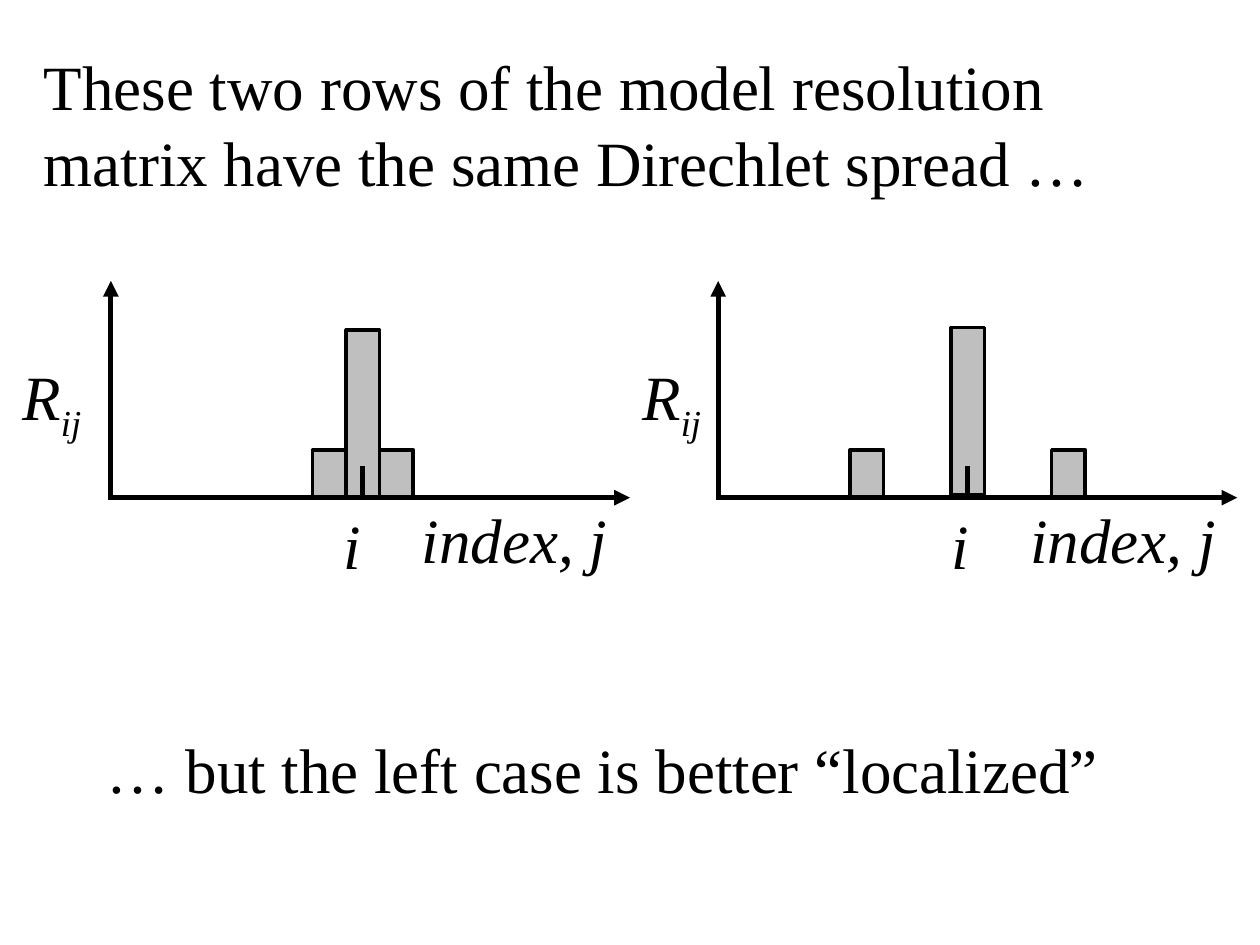
from pptx import Presentation
from pptx.dml.color import RGBColor
from pptx.enum.shapes import MSO_CONNECTOR, MSO_SHAPE
from pptx.oxml.ns import qn
from pptx.util import Inches, Pt
from lxml import etree

STRAIGHT = MSO_CONNECTOR.STRAIGHT
RECTANGLE = MSO_SHAPE.RECTANGLE

COLORS = {"ink": "000000", "bar": "BFBFBF"}
FONT = "Times New Roman"
TEXT_SIZE = 36
SLIDE_WIDTH, SLIDE_HEIGHT = 10, 7.5

CAPTIONS = [
    ("These two rows of the model resolution matrix have the same Direchlet spread …",
     (0.25, 0.33, 9, 1.31)),
    ("… but the left case is better “localized”", (0.75, 5.75, 8.42, 0.71)),
]
PANELS = [
    {"axis": 0.88, "center": 2.88, "side_offset": 1, "peak_top": 2.62,
     "row_label": 0.08, "index_label": (3.25, 2.13), "i_label": 2.63},
    {"axis": 5.7, "center": 7.68, "side_offset": 3, "peak_top": 2.6,
     "row_label": 5, "index_label": (8.08, 1.92), "i_label": 7.45},
]

BAR_WIDTH = 0.8 / 3
PEAK_HEIGHT, SIDE_HEIGHT = 1.33, 0.38
BASELINE, AXIS_TOP, AXIS_LENGTH = 3.95, 2.23, 4.12
OVERHANG = 0.02
TICK_HEIGHT = 0.25
LABEL_HEIGHT = 0.71


def color(name):
    return RGBColor.from_string(COLORS[name])


def add_text(page, area, text, subscript="", italic=False):
    box = page.shapes.add_textbox(*map(Inches, area))
    box.text_frame.word_wrap = True
    para = box.text_frame.paragraphs[0]
    para.font.name = FONT
    para.font.size = Pt(TEXT_SIZE)
    para.font.italic = italic
    para.font.color.rgb = color("ink")
    para.add_run().text = text
    if subscript:
        span = para.add_run()
        span.text = subscript
        span.font._element.set("baseline", "-25000")


def add_bar(page, center, top, height):
    area = (center - BAR_WIDTH / 2, top, BAR_WIDTH, height)
    bar = page.shapes.add_shape(RECTANGLE, *map(Inches, area))
    bar.shadow.inherit = False
    bar.fill.solid()
    bar.fill.fore_color.rgb = color("bar")
    bar.line.color.rgb = color("ink")
    bar.line.width = Pt(2)


def add_line(page, start, end, arrow=False):
    line = page.shapes.add_connector(STRAIGHT, *map(Inches, start + end))
    line.line.color.rgb = color("ink")
    line.line.width = Pt(3)
    if arrow:
        etree.SubElement(line.line._get_or_add_ln(), qn("a:headEnd"), type="triangle")
    etree.SubElement(line._element.spPr, qn("a:effectLst"))


def add_panel(page, panel):
    axis, center = panel["axis"], panel["center"]
    foot = BASELINE + OVERHANG
    add_bar(page, center, panel["peak_top"], PEAK_HEIGHT)
    for side in (-1, 1):
        side_center = center + side * panel["side_offset"] * BAR_WIDTH
        add_bar(page, side_center, BASELINE - SIDE_HEIGHT, SIDE_HEIGHT)
    add_line(page, (axis, AXIS_TOP), (axis, foot), arrow=True)
    add_line(page, (axis + AXIS_LENGTH, BASELINE), (axis - OVERHANG, BASELINE), arrow=True)
    add_line(page, (center, BASELINE - TICK_HEIGHT), (center, foot))

    index_left, index_width = panel["index_label"]
    add_text(page, (panel["row_label"], 2.79, 0.93, LABEL_HEIGHT), "R", "ij", italic=True)
    add_text(page, (index_left, 3.92, index_width, LABEL_HEIGHT), "index, j", italic=True)
    add_text(page, (panel["i_label"], foot, 0.4, LABEL_HEIGHT), "i", italic=True)


def main():
    deck = Presentation()
    deck.slide_width, deck.slide_height = Inches(SLIDE_WIDTH), Inches(SLIDE_HEIGHT)
    page = deck.slides.add_slide(deck.slide_layouts[6])
    for text, area in CAPTIONS:
        add_text(page, area, text)
    for panel in PANELS:
        add_panel(page, panel)
    deck.save("out.pptx")


if __name__ == "__main__":
    main()
